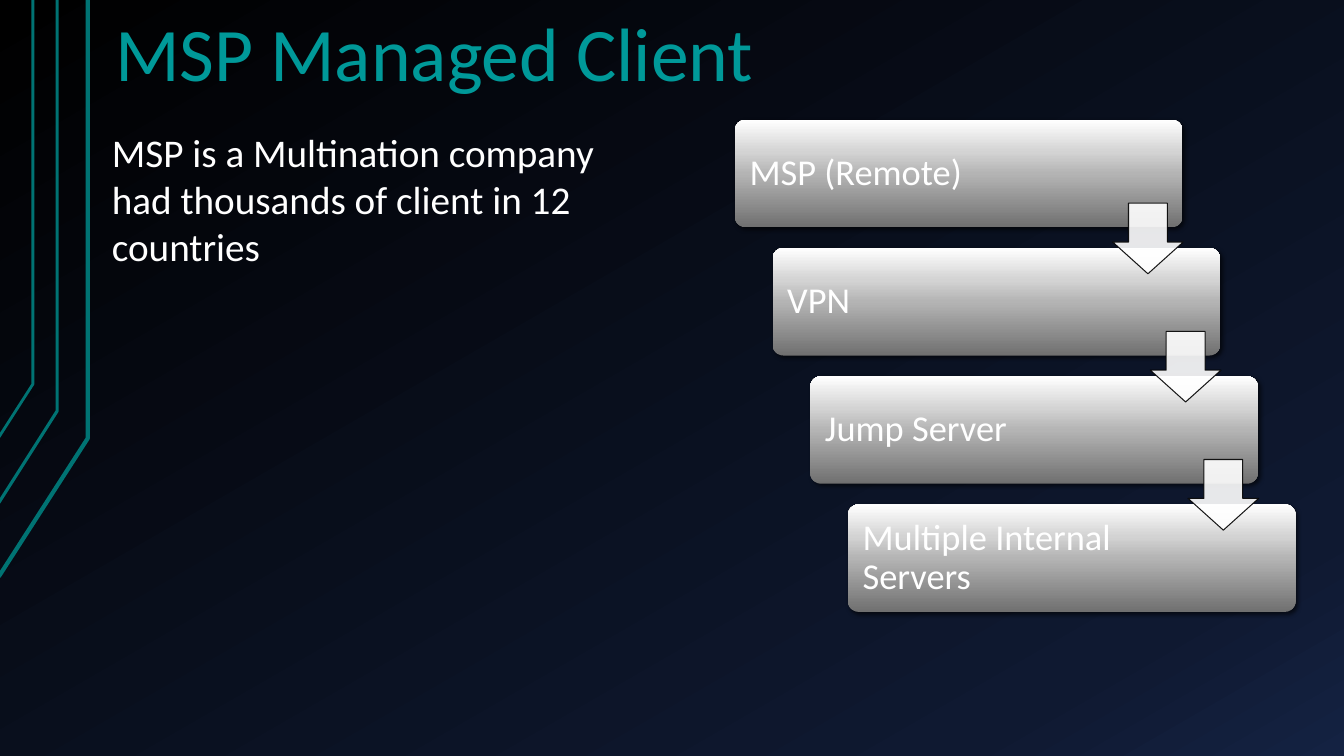
from dataclasses import dataclass

from lxml import etree
from pptx import Presentation
from pptx import util as u
from pptx.dml.color import RGBColor
from pptx.enum import shapes, text
from pptx.oxml.ns import qn


@dataclass(frozen=True)
class Theme:
    font: str = "Calibri"
    title: str = "009999"
    light: str = "FFFFFF"
    dark: str = "000000"
    trace: str = "007373"
    backdrop: tuple = ((0, "000000"), (85, "0F1931"), (100, "142242"))
    metal: tuple = ((0, "707070"), (50, "B4B4B4"), (70, "D3D3D3"), (100, "FFFFFF"))
    title_size: int = 54
    body_size: int = 28
    step_size: int = 26


THEME = Theme()


@dataclass(frozen=True)
class Box:
    """A rectangle measured in centimetres."""
    x: float
    y: float
    w: float
    h: float

    def emu(self):
        return [u.Cm(v) for v in (self.x, self.y, self.w, self.h)]


def add_color(parent, color, alpha=100):
    clr = etree.SubElement(parent, qn("a:srgbClr"), val=color)
    etree.SubElement(clr, qn("a:alpha"), val=str(alpha * 1000))


def set_alpha(fill_xml, alpha):
    clr = fill_xml.find(qn("a:srgbClr"))
    etree.SubElement(clr, qn("a:alpha"), val=str(alpha * 1000))


def set_gradient(fill, element, stops, angle):
    """Fill with stops of (percent, colour); the angle runs clockwise."""
    fill.gradient()
    grad = next(element.iter(qn("a:gradFill")))
    stop_list = grad.find(qn("a:gsLst"))
    for old in list(stop_list):
        stop_list.remove(old)
    for percent, color in stops:
        add_color(etree.SubElement(stop_list, qn("a:gs"), pos=str(percent * 1000)), color)
    grad.find(qn("a:lin")).set("ang", str(angle * 60000))


def set_shadow(sp, alpha=60, blur=3, distance=2, angle=45):
    sp.shadow.inherit = False
    effects = sp.element.spPr.find(qn("a:effectLst"))
    shadow = etree.SubElement(
        effects, qn("a:outerShdw"), blurRad=str(u.Pt(blur)), dist=str(u.Pt(distance)),
        dir=str(angle * 60000), algn="tl", rotWithShape="0")
    add_color(shadow, THEME.dark, alpha)


def add_text(s, box, words, size, color=THEME.light, anchor=text.MSO_ANCHOR.TOP,
             insets=(0.25, 0.13), spacing=1.0):
    tf = s.shapes.add_textbox(*box.emu()).text_frame
    tf.word_wrap = True
    tf.vertical_anchor = anchor
    tf.margin_left = tf.margin_right = u.Cm(insets[0])
    tf.margin_top = tf.margin_bottom = u.Cm(insets[1])
    p = tf.paragraphs[0]
    p.line_spacing = spacing
    r = p.add_run()
    r.text = words
    r.font.name = THEME.font
    r.font.size = u.Pt(size)
    r.font.color.rgb = RGBColor.from_string(color)


def add_circuit_traces(s, box):
    """Draw nested traces that drop from the top and bend to the left edge."""
    traces = ((2.24, 11.05, 14.53, 3), (1.47, 10.36, 12.67, 2.25), (0.86, 9.68, 11.02, 2))
    for x, bend, end, width in traces:
        points = [(u.Cm(box.x + px), u.Cm(box.y + py))
                  for px, py in ((0, end), (x, bend), (x, 0))]
        outline = s.shapes.build_freeform(*points[0])
        outline.add_line_segments(points[1:], close=False)
        sp = outline.convert_to_shape()
        sp.shadow.inherit = False
        sp.fill.background()
        sp.line.color.rgb = RGBColor.from_string(THEME.trace)
        sp.line.width = u.Pt(width)


def add_step(s, box, label):
    sp = s.shapes.add_shape(shapes.MSO_SHAPE.ROUNDED_RECTANGLE, *box.emu())
    sp.adjustments[0] = 0.1
    set_gradient(sp.fill, sp.element, THEME.metal, 270)
    sp.line.fill.background()
    set_shadow(sp)
    add_text(s, Box(box.x + 0.09, box.y + 0.08, 8.4, box.h - 0.16), label,
             THEME.step_size, anchor=text.MSO_ANCHOR.MIDDLE, insets=(0.28, 0.28), spacing=0.9)


def add_down_arrow(s, box):
    sp = s.shapes.add_shape(shapes.MSO_SHAPE.DOWN_ARROW, *box.emu())
    sp.adjustments[0], sp.adjustments[1] = 0.55, 0.45
    sp.shadow.inherit = False
    sp.fill.solid()
    sp.fill.fore_color.rgb = RGBColor.from_string(THEME.light)
    sp.line.color.rgb = RGBColor.from_string(THEME.dark)
    sp.line.width = u.Pt(0.75)
    for fill_xml in sp.element.spPr.iter(qn("a:solidFill")):
        set_alpha(fill_xml, 90)


def add_staircase(s, box, labels):
    """Lay steps down to the right, with an arrow from each to the next."""
    dx, gap, arrow = 0.95, 0.52, 1.78
    last = len(labels) - 1
    width = box.w - last * dx
    height = (box.h - last * gap) / len(labels)
    steps = [Box(box.x + i * dx, box.y + i * (height + gap), width, height)
             for i in range(len(labels))]
    for step, label in zip(steps, labels):
        add_step(s, step, label)
    for step in steps[:-1]:
        add_down_arrow(s, Box(step.x + width - arrow + 0.02, step.y + 2.1, arrow, arrow))


def main():
    prs = Presentation()
    prs.slide_width, prs.slide_height = u.Cm(33.87), u.Cm(19.05)
    s = prs.slides.add_slide(prs.slide_layouts[6])
    set_gradient(s.background.fill, s.element, THEME.backdrop, 60)
    add_circuit_traces(s, Box(-0.03, 0, 2.27, 14.53))
    add_text(s, Box(2.57, 0.74, 17.96, 1.9), "MSP Managed Client", THEME.title_size,
             color=THEME.title, anchor=text.MSO_ANCHOR.BOTTOM, insets=(0.33, 0.18), spacing=0.9)
    add_staircase(s, Box(18.52, 3.02, 14.13, 12.4),
                  ("MSP (Remote)", "VPN", "Jump Server", "Multiple Internal Servers"))
    add_text(s, Box(2.57, 3.1, 14.1, 3.84),
             "MSP is a Multination company had thousands of client in 12 countries",
             THEME.body_size)
    prs.save("out.pptx")


if __name__ == "__main__":
    main()
